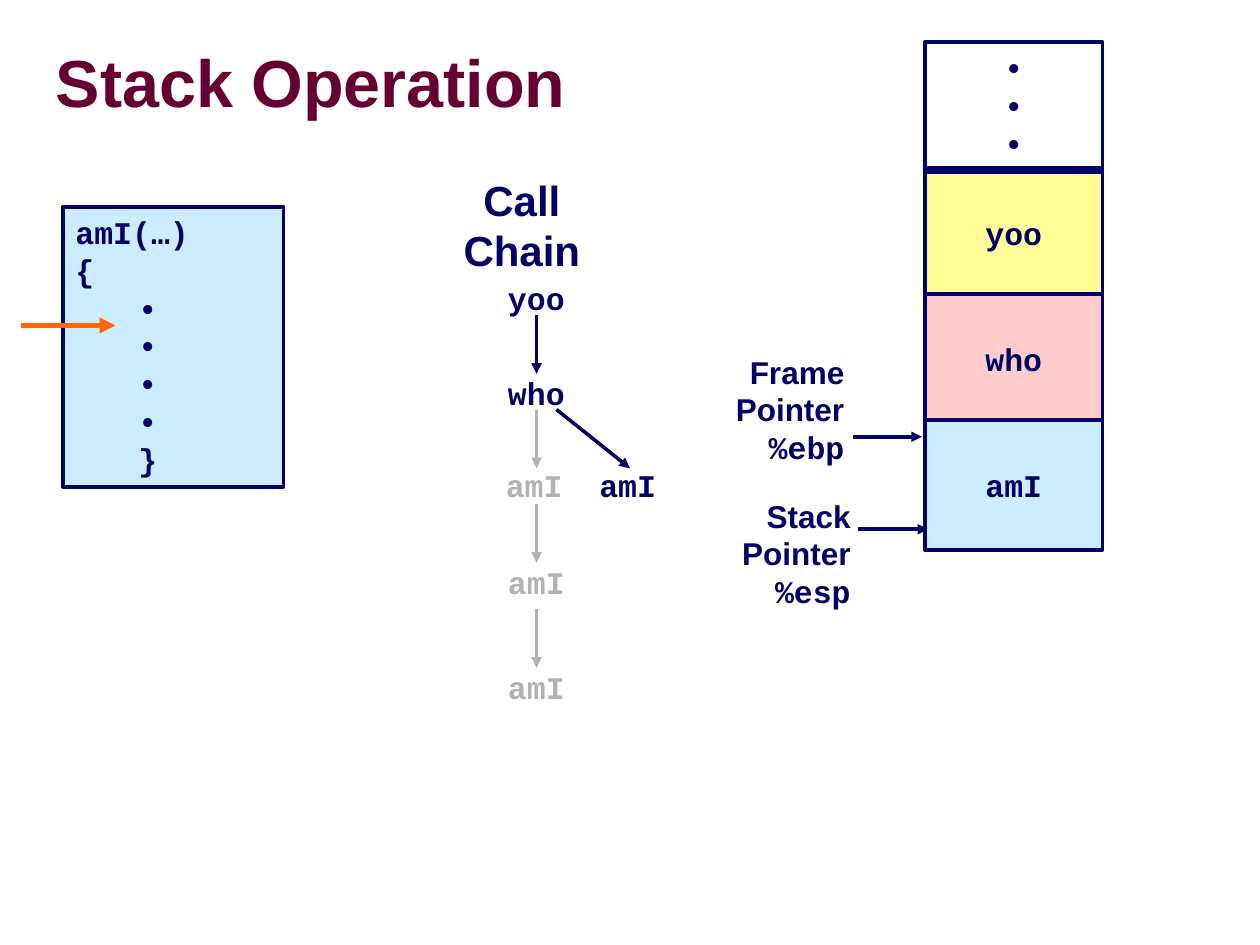
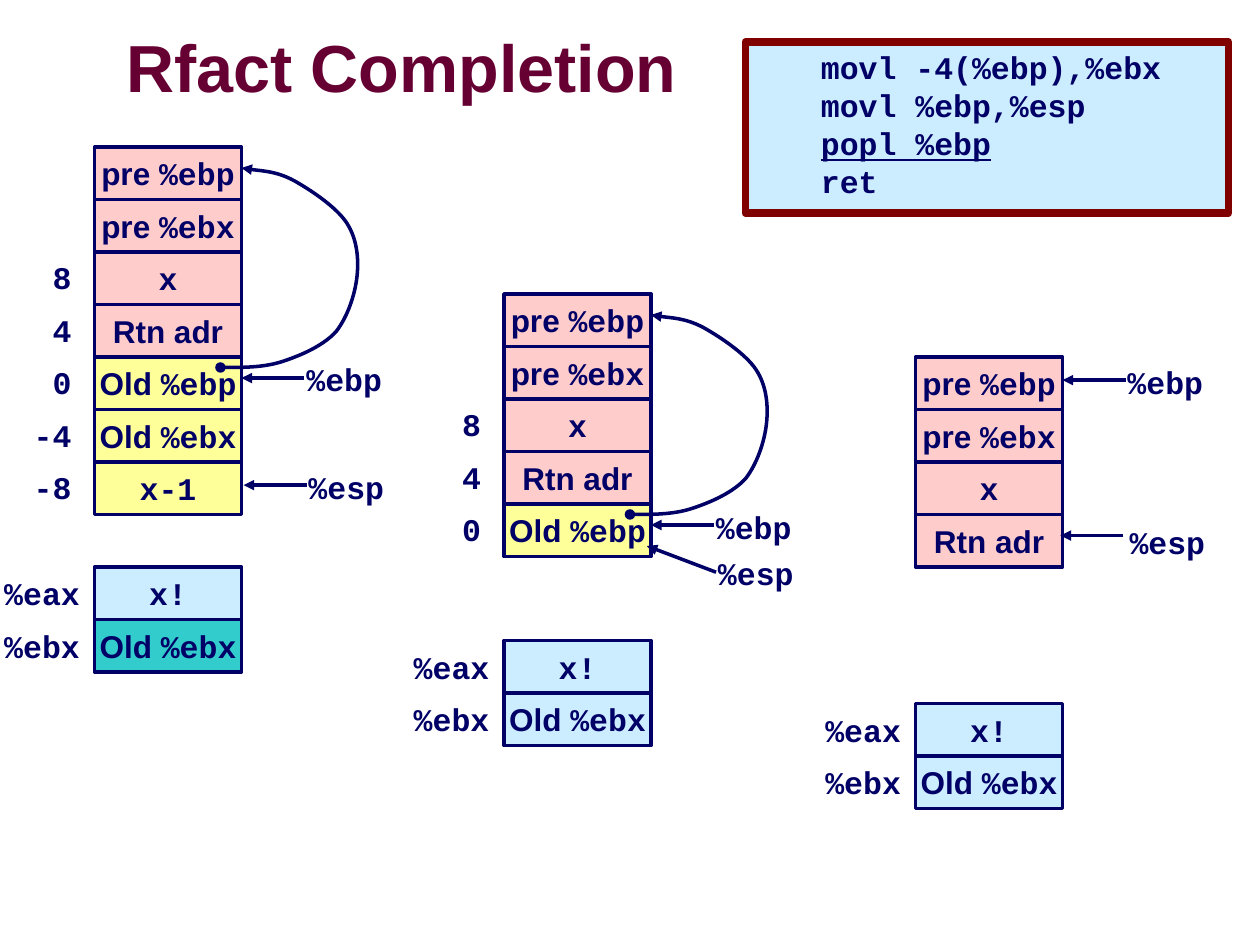
from lxml.etree import SubElement
from pptx import Presentation
from pptx.dml.color import RGBColor
from pptx.enum.shapes import MSO_CONNECTOR as Connector, MSO_SHAPE as Shape
from pptx.enum.text import MSO_ANCHOR as Anchor, MSO_AUTO_SIZE as AutoSize, PP_ALIGN as Align
from pptx.oxml.ns import qn
from pptx.util import Emu, Pt

# Shared scale, fonts and colours
EMU_PER_PX = 914400 // 120
SANS, MONO = "Arial", "Courier New"
NAVY, MAROON, GREY, ORANGE = "000066", "660033", "B2B2B2", "FF6600"
YELLOW, PINK, BLUE, TEAL = "FFFF99", "FFCCCC", "CCECFF", "33CCCC"
WHITE, DARK_RED, SHADOW = "FFFFFF", "800000", "969696"

# Stack cells of the second slide
CELL_WIDTH, CELL_HEIGHT = 140, 50
PRE_EBP = [("pre ", SANS), ("%ebp", MONO)]
PRE_EBX = [("pre ", SANS), ("%ebx", MONO)]
OLD_EBP = [("Old ", SANS), ("%ebp", MONO)]
OLD_EBX = [("Old ", SANS), ("%ebx", MONO)]
RETURN_ADDRESS = [("Rtn adr", SANS)]
CALLER_FRAME = [(PRE_EBP, PINK), (PRE_EBX, PINK), ("x", PINK), (RETURN_ADDRESS, PINK)]

# Link from the saved %ebp up to the caller's, relative to the column's corner:
# a start point, then two control points and an end point for each curve
LINK_START = (120, 210)
LINK_CURVES = [
    (140, 210), (162, 210), (180, 204),
    (198, 198), (218, 189), (230, 176),
    (241, 162), (248, 141), (250, 124),
    (252, 106), (250, 87), (240, 72),
    (230, 57), (206, 41), (190, 32),
    (173, 23), (149, 22), (140, 20),
]


def px(length):
    return Emu(length * EMU_PER_PX)


def color(hex_text):
    return RGBColor.from_string(hex_text)


def set_values(target, values):
    for name, value in values.items():
        setattr(target, name, value)


def write(box, lines, align=Align.LEFT, size=18, hue=NAVY, inset=(12, 6),
          anchor=Anchor.TOP, wrap=False, indents=(), underlined=()):
    """Fill a box; a line is a string in MONO or a list of (text, font) spans."""
    frame = box.text_frame
    across, down = px(inset[0]), px(inset[1])
    set_values(frame, {
        "auto_size": AutoSize.NONE, "word_wrap": wrap, "vertical_anchor": anchor,
        "margin_left": across, "margin_right": across,
        "margin_top": down, "margin_bottom": down,
    })
    for index, line in enumerate(lines):
        para = frame.add_paragraph() if index else frame.paragraphs[0]
        set_values(para, {"alignment": align, "line_spacing": Pt(size * 1.2)})
        if index in indents:
            para._p.get_or_add_pPr().set("marL", str(px(60)))
        for text, font in [(line, MONO)] if isinstance(line, str) else line:
            span = para.add_run()
            span.text = text
            set_values(span.font, {"size": Pt(size), "bold": True, "name": font})
            span.font.color.rgb = color(hue)
            if index in underlined:
                span.font.underline = True


def add_title(page, text, left, top, width, height):
    title = page.shapes.title
    set_values(title, {"left": px(left), "top": px(top),
                       "width": px(width), "height": px(height)})
    write(title, [[(text, SANS)]], size=38, hue=MAROON, inset=(0, 0),
          anchor=Anchor.MIDDLE, wrap=True)
    para = title.text_frame.paragraphs[0]
    para.line_spacing = 0.87
    # Text shadow, placed right after the text's fill
    properties = para.runs[0].font._element
    effects = SubElement(properties, qn("a:effectLst"))
    shadow = SubElement(effects, qn("a:outerShdw"), dist="53882", dir="2700000")
    SubElement(shadow, qn("a:srgbClr"), val=SHADOW)
    properties.find(qn("a:solidFill")).addnext(effects)


def add_box(page, left, top, width, height, fill=None, line=NAVY, weight=2):
    box = page.shapes.add_shape(Shape.RECTANGLE, px(left), px(top), px(width), px(height))
    box.shadow.inherit = False
    if fill:
        box.fill.solid()
        box.fill.fore_color.rgb = color(fill)
    else:
        box.fill.background()
    if line:
        box.line.color.rgb = color(line)
        box.line.width = Pt(weight)
    else:
        box.line.fill.background()
    return box


def add_label(page, lines, left, top, width, height=48, **formats):
    label = page.shapes.add_textbox(px(left), px(top), px(width), px(height))
    write(label, lines, **formats)


def add_cell(page, content, left, top, fill, width=CELL_WIDTH, line=NAVY):
    cell = add_box(page, left, top, width, CELL_HEIGHT, fill, line)
    write(cell, [content], Align.CENTER, inset=(0, 0), anchor=Anchor.MIDDLE)


def style_line(shape, hue, weight, **ends):
    shape.line.color.rgb = color(hue)
    shape.line.width = Pt(weight)
    for tag, kind in ends.items():
        SubElement(shape.line._get_or_add_ln(), qn("a:" + tag), type=kind)


def add_arrow(page, start, end, hue=NAVY, weight=2):
    arrow = page.shapes.add_connector(Connector.STRAIGHT, *map(px, start + end))
    style_line(arrow, hue, weight, tailEnd="triangle")
    SubElement(arrow._element.spPr, qn("a:effectLst"))


def add_link(page, left, top):
    """Draw the curved link as a freeform whose segments become Bezier curves."""
    points = [(left + x, top + y) for x, y in LINK_CURVES]
    builder = page.shapes.build_freeform(left + LINK_START[0], top + LINK_START[1],
                                         scale=EMU_PER_PX)
    builder.add_line_segments(points, close=False)
    link = builder.convert_to_shape()
    link.shadow.inherit = False
    link.fill.background()
    style_line(link, NAVY, 2, headEnd="oval", tailEnd="triangle")
    outline = next(link._element.iter(qn("a:path")))
    segments = outline.findall(qn("a:lnTo"))
    for first in range(0, len(segments), 3):
        curve = SubElement(outline, qn("a:cubicBezTo"))
        for segment in segments[first:first + 3]:
            curve.append(segment[0])
            outline.remove(segment)


def add_pointer(page, name, label_at, start, end):
    add_arrow(page, start, end)
    add_label(page, [name], *label_at, 96)


def add_column(page, left, top, cells, offsets, registers_top, ebx_fill, linked=True):
    """Draw one stage: the stack, its offsets and the two registers."""
    for row, (content, fill) in enumerate(cells):
        add_cell(page, content, left, top + row * CELL_HEIGHT, fill)
    for row, offset in enumerate(offsets, start=2):
        add_label(page, [offset], left - 70, top + row * CELL_HEIGHT, 60, align=Align.RIGHT)
    registers = [("%eax", "x!", BLUE), ("%ebx", OLD_EBX, ebx_fill)]
    for row, (name, content, fill) in enumerate(registers):
        row_top = registers_top + row * CELL_HEIGHT
        add_cell(page, content, left, row_top, fill)
        add_cell(page, name, left - 90, row_top, WHITE, width=80, line=None)
    if linked:
        add_link(page, left, top)


def build_operation(page):
    add_title(page, "Stack Operation", 53, 32, 1144, 102)

    # Frame and stack pointers
    for words, left, top, start, end in [
        (("Stack", "%esp"), 695, 467, (817, 504), (884, 504)),
        (("Frame", "%ebp"), 689, 330, (812, 416), (878, 416)),
    ]:
        add_arrow(page, start, end)
        lines = [[(words[0], SANS)], [("Pointer", SANS)], words[1]]
        add_label(page, lines, left, top, 127, 120, align=Align.RIGHT)

    # Stack frames, with the older part of the stack on top
    frames = [(["yoo"], YELLOW), (["who"], PINK), (["amI"], BLUE)]
    for row, (lines, fill) in enumerate(frames, start=1):
        frame = add_box(page, 881, 40 + row * 120, 169, 124, fill)
        write(frame, lines, Align.CENTER, anchor=Anchor.MIDDLE)
    older = add_box(page, 881, 40, 169, 124)
    write(older, ["•"] * 3, Align.CENTER)

    # Call chain
    add_label(page, [[("Call Chain", SANS)]], 427, 160, 140, 110,
              align=Align.CENTER, size=24, wrap=True)
    for name, left, top, hue in [
        ("yoo", 472, 260, NAVY), ("who", 472, 350, NAVY), ("amI", 470, 438, GREY),
        ("amI", 472, 530, GREY), ("amI", 472, 630, GREY), ("amI", 559, 438, NAVY),
    ]:
        add_label(page, [name], left, top, 79, hue=hue)
    for top, hue in [(300, NAVY), (390, GREY), (480, GREY), (580, GREY)]:
        add_arrow(page, (511, top), (511, top + 56), hue)
    add_arrow(page, (530, 390), (600, 446))

    # Running code and its current line
    code = add_box(page, 60, 197, 210, 267, BLUE)
    write(code, ["amI(…)", "{"] + ["•"] * 4 + ["}"], indents=range(2, 7))
    add_arrow(page, (20, 310), (110, 310), ORANGE, 3)


def build_completion(page):
    add_title(page, "Rfact Completion", 120, 30, 737, 76)

    # Three stages of the stack
    saved = CALLER_FRAME + [(OLD_EBP, YELLOW)]
    full = saved + [(OLD_EBX, YELLOW), ("x-1", YELLOW)]
    add_column(page, 90, 140, full, ["8", "4", "0", "-4", "-8"], 540, TEAL)
    add_column(page, 480, 280, saved, ["8", "4", "0"], 610, BLUE)
    add_column(page, 872, 340, CALLER_FRAME, [], 670, BLUE, linked=False)

    # Pointers into each stage
    for pointer in [
        ("%ebp", (280, 337), (290, 360), (230, 360)),
        ("%esp", (282, 440), (292, 462), (232, 462)),
        ("%ebp", (670, 478), (680, 500), (620, 500)),
        ("%esp", (672, 522), (682, 545), (616, 520)),
        ("%ebp", (1062, 340), (1072, 362), (1012, 362)),
        ("%esp", (1064, 492), (1070, 510), (1010, 510)),
    ]:
        add_pointer(page, *pointer)

    # Closing instructions
    code = add_box(page, 710, 40, 460, 163, BLUE, DARK_RED, 4.5)
    write(code, ["movl -4(%ebp),%ebx", "movl %ebp,%esp", "popl %ebp", "ret"],
          indents=range(4), underlined=[2])


def main():
    deck = Presentation()
    deck.slide_width, deck.slide_height = px(1200), px(900)
    for build in (build_operation, build_completion):
        page = deck.slides.add_slide(deck.slide_layouts[5])
        build(page)
    deck.save("out.pptx")


if __name__ == "__main__":
    main()
